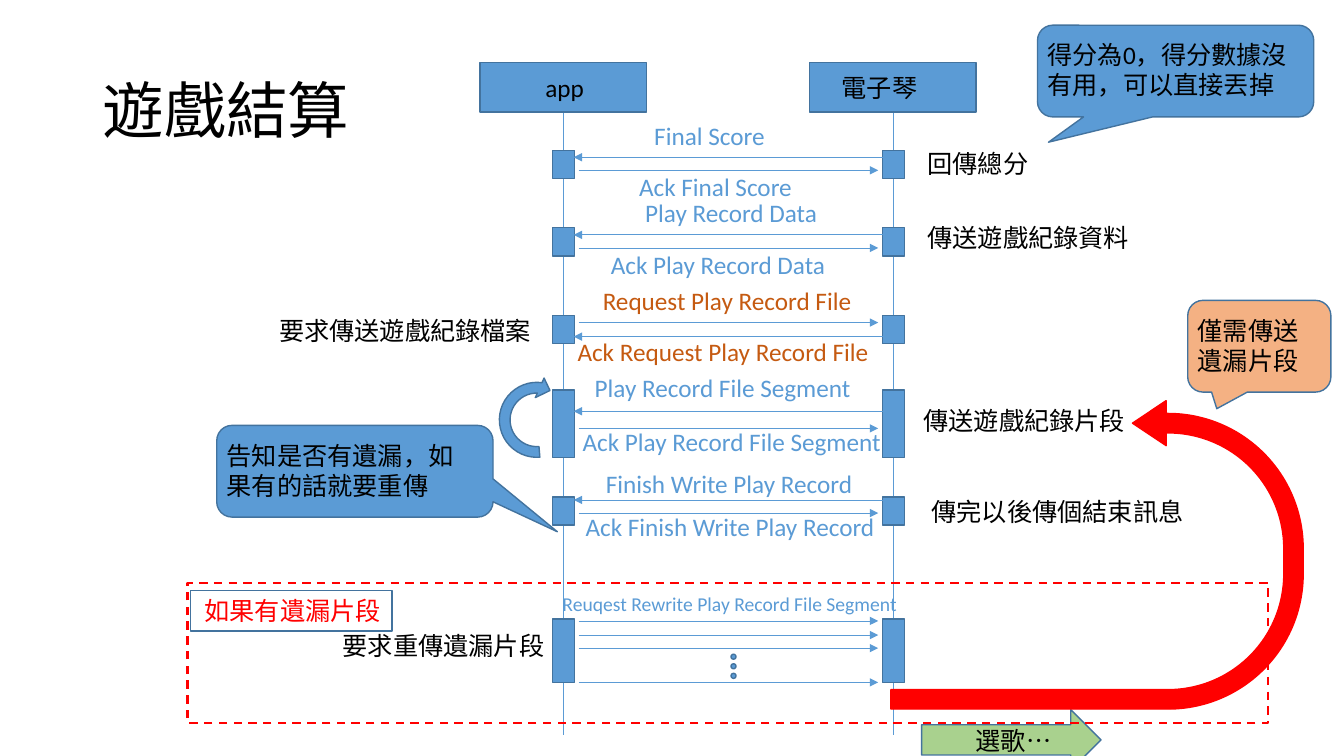
from dataclasses import dataclass
from typing import Optional

from lxml import etree
from pptx import Presentation
from pptx.dml.color import RGBColor
from pptx.enum.dml import MSO_LINE
from pptx.enum.shapes import MSO_CONNECTOR, MSO_SHAPE
from pptx.enum.text import MSO_ANCHOR, MSO_AUTO_SIZE, PP_ALIGN
from pptx.oxml.ns import qn
from pptx.util import Inches, Pt

RECTANGLE = MSO_SHAPE.RECTANGLE
OVAL = MSO_SHAPE.OVAL
CALLOUT = MSO_SHAPE.ROUNDED_RECTANGULAR_CALLOUT
RIGHT_ARROW = MSO_SHAPE.RIGHT_ARROW
UTURN_ARROW = MSO_SHAPE.U_TURN_ARROW
CIRCULAR_ARROW = MSO_SHAPE.CIRCULAR_ARROW
STRAIGHT = MSO_CONNECTOR.STRAIGHT
DASH = MSO_LINE.DASH
MIDDLE = MSO_ANCHOR.MIDDLE
LEFT = PP_ALIGN.LEFT
GROW = MSO_AUTO_SIZE.SHAPE_TO_FIT_TEXT


@dataclass(frozen=True)
class Theme:
    font: str = "Calibri"
    black: str = "000000"
    blue: str = "5B9BD5"
    outline: str = "43739E"
    red: str = "FF0000"
    green: str = "A9D18E"
    peach: str = "F4B183"
    orange: str = "C55A11"
    title_size: float = 44
    text_size: float = 18
    small_size: float = 14


THEME = Theme()


@dataclass(frozen=True)
class Block:
    kind: int
    left: float
    top: float
    width: float
    height: float
    fill: Optional[str] = THEME.blue
    line: str = THEME.outline
    line_width: float = 1
    dashed: bool = False
    rotation: float = 0
    flipped: bool = False
    adjustments: tuple[float, ...] = ()


@dataclass(frozen=True)
class Label:
    text: str
    left: float
    top: float
    width: float
    color: str = THEME.black
    size: float = THEME.text_size
    height: float = 0.4


@dataclass(frozen=True)
class Exchange:
    bar_top: float
    bar_height: float
    to_app: tuple[float, ...]
    to_piano: tuple[float, ...]


HEADER_LEFTS = (4.76, 8.03)
LIFELINES = (5.59, 8.86)
BAR_WIDTH = 0.22
TO_APP = (8.86, 5.69)
TO_PIANO = (5.74, 8.71)

EXCHANGES = (
    Exchange(1.49, 0.28, (1.56,), (1.69,)),
    Exchange(2.26, 0.28, (2.33,), (2.46,)),
    Exchange(3.13, 0.28, (3.34,), (3.2,)),
    Exchange(3.87, 0.67, (4.08,), (4.25,)),
    Exchange(4.93, 0.28, (4.96,), (5.09,)),
    Exchange(6.14, 0.63, (), (6.16, 6.3, 6.43, 6.77)),
)

BLOCKS = (
    Block(RIGHT_ARROW, 9.14, 7.04, 1.78, 0.6, THEME.green),
    Block(CALLOUT, 2.15, 4.22, 2.74, 0.91, adjustments=(0.733, 0.66, 0.167)),
    Block(RECTANGLE, 1.86, 5.78, 10.72, 1.39, None, THEME.red, 1.5, dashed=True),
    Block(RECTANGLE, 1.89, 5.86, 2, 0.4, None),
    Block(UTURN_ARROW, 9.35, 3.46, 3.06, 4.09, THEME.red, THEME.red, rotation=270,
          flipped=True, adjustments=(0.063, 0.073, 0.109, 0.438, 0.414)),
    Block(CALLOUT, 11.78, 2.98, 1.42, 0.91, THEME.peach, adjustments=(-0.297, 0.681, 0.167)),
    Block(CIRCULAR_ARROW, 4.9, 3.74, 0.85, 0.85, rotation=294.1,
          adjustments=(0.125, 11.423, 204.577, 90.778, 0.125)),
    Block(CALLOUT, 10.29, 0.25, 2.74, 0.91, adjustments=(-0.46, 0.776, 0.167)),
)

LABELS = (
    Label("app", 5.31, 0.67, 0.99),
    Label("電子琴", 8.25, 0.67, 0.99),
    Label("Final Score", 6.39, 1.14, 1.98, THEME.blue),
    Label("Ack Final Score", 6.24, 1.65, 2.13, THEME.blue),
    Label("回傳總分", 9.1, 1.42, 1.79),
    Label("Play Record Data", 6.3, 1.91, 2.08, THEME.blue),
    Label("Ack Play Record Data", 5.96, 2.42, 2.41, THEME.blue),
    Label("傳送遊戲紀錄資料", 9.1, 2.16, 2.32),
    Label("Request Play Record File", 5.88, 2.78, 2.92, THEME.orange),
    Label("Ack Request Play Record File", 5.63, 3.29, 3.36, THEME.orange),
    Label("要求傳送遊戲紀錄檔案", 2.67, 3.08, 2.79),
    Label("Play Record File Segment", 5.8, 3.64, 2.83, THEME.blue),
    Label("Ack Play Record File Segment", 5.68, 4.18, 3.27, THEME.blue),
    Label("傳送遊戲紀錄片段", 9.06, 3.97, 2.25),
    Label("Finish Write Play Record", 5.91, 4.6, 2.99, THEME.blue),
    Label("Ack Finish Write Play Record", 5.71, 5.02, 3.27, THEME.blue),
    Label("傳完以後傳個結束訊息", 9.14, 4.87, 2.83),
    Label("Reuqest Rewrite Play Record File Segment", 5.48, 5.82, 4.18,
          THEME.blue, THEME.small_size, 0.34),
    Label("要求重傳遺漏片段", 3.3, 6.2, 2.42),
    Label("如果有遺漏片段", 1.93, 5.86, 2.1, THEME.red),
    Label("選歌…", 9.58, 7.15, 2.2),
    Label("告知是否有遺漏，如果有的話就要重傳", 2.15, 4.32, 2.53, height=0.71),
    Label("僅需傳送遺漏片段", 11.78, 3.08, 1.3, height=0.71),
    Label("得分為0，得分數據沒有用，可以直接丟掉", 10.29, 0.34, 2.74, height=0.71),
)


def format_paragraph(paragraph, color: str, size: float) -> None:
    paragraph.font.name = THEME.font
    paragraph.font.size = Pt(size)
    paragraph.font.color.rgb = RGBColor.from_string(color)


def draw_block(shapes, block: Block) -> None:
    shape = shapes.add_shape(block.kind, Inches(block.left), Inches(block.top),
                             Inches(block.width), Inches(block.height))
    shape.shadow.inherit = False
    if block.fill:
        shape.fill.solid()
        shape.fill.fore_color.rgb = RGBColor.from_string(block.fill)
    else:
        shape.fill.background()
    shape.line.color.rgb = RGBColor.from_string(block.line)
    shape.line.width = Pt(block.line_width)
    if block.dashed:
        shape.line.dash_style = DASH
    shape.rotation = block.rotation
    if block.flipped:
        shape._element.spPr.xfrm.set("flipV", "1")
    for index, value in enumerate(block.adjustments):
        shape.adjustments[index] = value


def draw_line(shapes, start: tuple[float, float], end: tuple[float, float], arrow: bool) -> None:
    connector = shapes.add_connector(STRAIGHT, *map(Inches, start + end))
    connector.line.color.rgb = RGBColor.from_string(THEME.blue)
    connector.line.width = Pt(0.5)
    if arrow:
        etree.SubElement(connector.line._get_or_add_ln(), qn("a:tailEnd"), type="triangle")
    etree.SubElement(connector._element.spPr, qn("a:effectLst"))


def draw_label(shapes, label: Label) -> None:
    box = shapes.add_textbox(Inches(label.left), Inches(label.top),
                             Inches(label.width), Inches(label.height))
    box.text_frame.word_wrap = True
    box.text_frame.auto_size = GROW
    box.text_frame.text = label.text
    format_paragraph(box.text_frame.paragraphs[0], label.color, label.size)


def draw_exchange(shapes, exchange: Exchange) -> None:
    for center in LIFELINES:
        draw_block(shapes, Block(RECTANGLE, center - BAR_WIDTH / 2, exchange.bar_top,
                                 BAR_WIDTH, exchange.bar_height))
    for (start, end), heights in ((TO_APP, exchange.to_app), (TO_PIANO, exchange.to_piano)):
        for height in heights:
            draw_line(shapes, (start, height), (end, height), arrow=True)


presentation = Presentation()
presentation.slide_width = Inches(13.33)
presentation.slide_height = Inches(7.5)
slide = presentation.slides.add_slide(presentation.slide_layouts[5])
shapes = slide.shapes

title = shapes.title
title.left, title.top, title.width, title.height = map(Inches, (0.92, 0.4, 11.5, 1.45))
title.text_frame.text = "遊戲結算"
title.text_frame.vertical_anchor = MIDDLE
title_paragraph = title.text_frame.paragraphs[0]
title_paragraph.alignment = LEFT
title_paragraph.line_spacing = 0.9
format_paragraph(title_paragraph, THEME.black, THEME.title_size)

for header_left, lifeline in zip(HEADER_LEFTS, LIFELINES):
    draw_block(shapes, Block(RECTANGLE, header_left, 0.62, 1.65, 0.49))
    draw_line(shapes, (lifeline, 1.12), (lifeline, 7.29), arrow=False)
for exchange in EXCHANGES:
    draw_exchange(shapes, exchange)
ellipsis = shapes.add_group_shape()
for position in range(3):
    draw_block(ellipsis.shapes, Block(OVAL, 7.25, 6.49 + 0.095 * position, 0.05, 0.05))
for block in BLOCKS:
    draw_block(shapes, block)
for label in LABELS:
    draw_label(shapes, label)

presentation.save("out.pptx")
